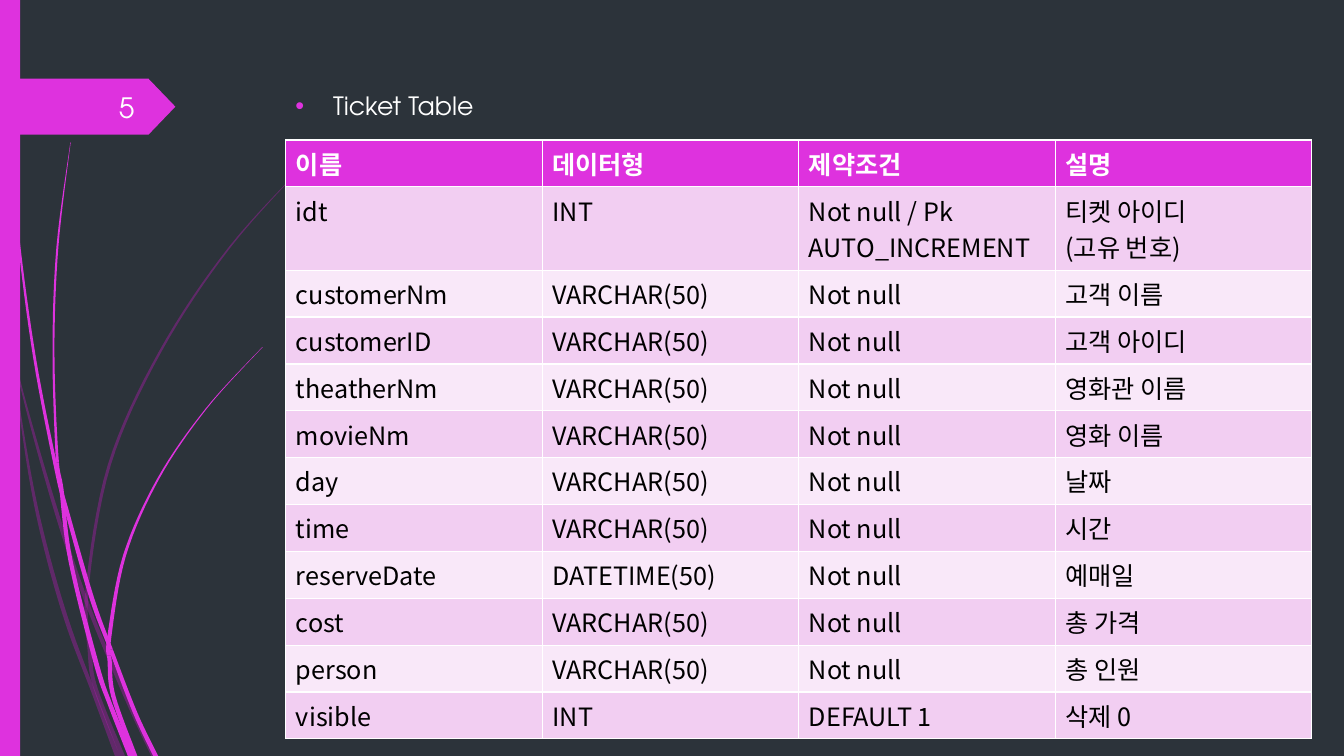
from dataclasses import dataclass

from lxml.etree import SubElement
from pptx import Presentation
from pptx.dml.color import RGBColor
from pptx.enum.shapes import MSO_SHAPE as Shape
from pptx.enum.text import MSO_ANCHOR as Anchor, PP_ALIGN as Align
from pptx.oxml.ns import qn
from pptx.util import Pt


@dataclass(frozen=True)
class Theme:
    background: str = "2C333A"
    accent: str = "DE32DE"
    shade: str = "B01CB0"
    band_dark: str = "F2CEF2"
    band_light: str = "F9E8F9"
    white: str = "FFFFFF"
    black: str = "000000"
    heading_font: str = "TeX Gyre Adventor"
    table_font: str = "Noto Sans CJK KR"
    bullet_font: str = "Arial"
    body_size: int = 18
    number_size: int = 20


THEME = Theme()

# Each blade: the heights where it is cut into pieces, then its stations
# (centre x, y, width) from top to bottom, all in points.
FADED_BLADES = [
    ((252, 430),
     [(0, 209, 1), (10.8, 259, 1), (25.2, 314, 2), (43.2, 375, 3),
      (61.9, 430, 3), (90, 498, 3), (109.8, 540, 3.6)]),
    ((514,),
     [(7.9, 252, 0.2), (21.2, 338, 2), (33, 392.5, 2.8), (48.6, 446, 3.2),
      (67, 495, 3), (83.9, 540, 3.6)]),
    ((426, 435, 500),
     [(224.6, 110, 0.2), (164.5, 176, 1.4), (114.5, 251, 1.9), (78.1, 332, 2.2),
      (62.3, 420, 2.2), (64.1, 465, 2.9), (68.4, 492, 3), (87.5, 540, 3.6)]),
]
BRIGHT_BLADES = [
    ((343, 463),
     [(2.5, 0, 0.4), (5.4, 79, 0.7), (13, 168, 1.4), (24.8, 256, 2),
      (40.2, 335, 2.6), (47.5, 364, 2.9), (65.2, 426, 3.4), (79.2, 464, 3),
      (96.5, 509, 3.2), (111.2, 540, 3.6)]),
    ((331, 352, 520),
     [(50.4, 101.5, 0.2), (41, 176.5, 1.4), (38.2, 251, 1.4), (40.7, 325, 2),
      (44, 350, 3), (50.4, 400.5, 3), (68.8, 474, 3.6), (79, 504, 3.4),
      (93.6, 540, 4.5)]),
    ((458, 468, 510),
     [(187.4, 248, 0.3), (147.2, 292, 0.9), (113, 342, 1.5), (88.9, 397, 2.2),
      (78.1, 455, 2.9), (78.3, 472, 3), (81, 497.5, 3.2), (96.3, 540, 3.6)]),
]

HEADINGS = ("이름", "데이터형", "제약조건", "설명")
TEXT_TYPE, REQUIRED = "VARCHAR(50)", "Not null"
COLUMNS = [
    ("idt", "INT", "Not null / Pk\nAUTO_INCREMENT", "티켓 아이디\n(고유 번호)"),
    ("customerNm", TEXT_TYPE, REQUIRED, "고객 이름"),
    ("customerID", TEXT_TYPE, REQUIRED, "고객 아이디"),
    ("theatherNm", TEXT_TYPE, REQUIRED, "영화관 이름"),
    ("movieNm", TEXT_TYPE, REQUIRED, "영화 이름"),
    ("day", TEXT_TYPE, REQUIRED, "날짜"),
    ("time", TEXT_TYPE, REQUIRED, "시간"),
    ("reserveDate", "DATETIME(50)", REQUIRED, "예매일"),
    ("cost", TEXT_TYPE, REQUIRED, "총 가격"),
    ("person", TEXT_TYPE, REQUIRED, "총 인원"),
    ("visible", "INT", "DEFAULT 1", "삭제 0"),
]


def rgb(code):
    return RGBColor.from_string(code)


def paint(shape, color, opacity=100):
    shape.shadow.inherit = False
    shape.fill.solid()
    shape.fill.fore_color.rgb = rgb(color)
    shape.line.fill.background()
    if opacity < 100:
        tint = shape._element.spPr.find(f"{qn('a:solidFill')}/{qn('a:srgbClr')}")
        SubElement(tint, qn("a:alpha"), val=str(opacity * 1000))


def set_font(paragraph, name, size, color, bold=False):
    font = paragraph.font
    font.name, font.size, font.bold = name, Pt(size), bold
    font.color.rgb = rgb(color)
    defaults = paragraph._p.pPr.find(qn("a:defRPr"))
    SubElement(defaults, qn("a:ea"), typeface=name)


def smooth(stations, steps=8):
    """Return points on the Catmull-Rom curve through the stations."""
    padded = [stations[0], *stations, stations[-1]]
    curve = []
    for before, start, end, after in zip(padded, padded[1:], padded[2:], padded[3:]):
        for t in (step / steps for step in range(steps)):
            curve.append([
                b + ((c - a) * t + (2 * a - 5 * b + 4 * c - d) * t**2
                     + (3 * b - a - 3 * c + d) * t**3) / 2
                for a, b, c, d in zip(before, start, end, after)
            ])
    return curve + [stations[-1]]


def add_blade(slide, cuts, stations, color, opacity=100):
    curve = smooth(stations)
    left = [(Pt(x - width / 2), Pt(y)) for x, y, width in curve]
    right = [(Pt(x + width / 2), Pt(y)) for x, y, width in curve]
    inner = [min(range(len(curve)), key=lambda i: abs(curve[i][1] - cut)) for cut in cuts]
    for first, last in zip([0, *inner], [*inner, len(curve) - 1]):
        outline = left[first:last + 1] + right[first:last + 1][::-1]
        builder = slide.shapes.build_freeform(*outline[0])
        builder.add_line_segments(outline[1:], close=True)
        paint(builder.convert_to_shape(), color, opacity)


def add_preset(slide, kind, left, top, width, height):
    shape = slide.shapes.add_shape(kind, Pt(left), Pt(top), Pt(width), Pt(height))
    paint(shape, THEME.accent)
    return shape


def add_text(slide, text, left, top, width, height, size):
    box = slide.shapes.add_textbox(Pt(left), Pt(top), Pt(width), Pt(height))
    box.text_frame.word_wrap = True
    paragraph = box.text_frame.paragraphs[0]
    paragraph.text = text
    set_font(paragraph, THEME.heading_font, size, THEME.white)
    return box.text_frame


def add_bullet(paragraph, indent):
    props = paragraph._p.get_or_add_pPr()
    props.set("marL", str(Pt(indent)))
    props.set("indent", str(-Pt(indent)))
    tint = props.makeelement(qn("a:buClr"), {})
    SubElement(tint, qn("a:srgbClr"), val=THEME.accent)
    face = props.makeelement(qn("a:buFont"), {"typeface": THEME.bullet_font})
    mark = props.makeelement(qn("a:buChar"), {"char": "•"})
    defaults = props.find(qn("a:defRPr"))
    for part in (tint, face, mark):
        defaults.addprevious(part)


def set_borders(cell):
    props = cell._tc.get_or_add_tcPr()
    for position, side in enumerate(("lnL", "lnR", "lnT", "lnB")):
        line = props.makeelement(qn(f"a:{side}"), {"w": str(Pt(1))})
        SubElement(SubElement(line, qn("a:solidFill")), qn("a:srgbClr"), val=THEME.white)
        props.insert(position, line)


def fill_cell(cell, text, fill, color, bold=False):
    cell.text = text
    for paragraph in cell.text_frame.paragraphs:
        set_font(paragraph, THEME.table_font, THEME.body_size, color, bold)
    cell.fill.solid()
    cell.fill.fore_color.rgb = rgb(fill)
    set_borders(cell)


def add_ticket_table(slide):
    rows = [HEADINGS, *COLUMNS]
    table = slide.shapes.add_table(len(rows), len(HEADINGS), Pt(204.2), Pt(100),
                                   Pt(733), Pt(428)).table
    for column in table.columns:
        column.width = Pt(183.2)
    for index, values in enumerate(rows):
        table.rows[index].height = Pt(59.5 if "\n" in values[2] else 33.5)
        band = THEME.band_dark if index % 2 else THEME.band_light
        for cell, value in zip(table.rows[index].cells, values):
            if index == 0:
                fill_cell(cell, value, THEME.accent, THEME.white, bold=True)
            else:
                fill_cell(cell, value, band, THEME.black)


def main():
    deck = Presentation()
    deck.slide_width, deck.slide_height = Pt(960), Pt(540)
    slide = deck.slides.add_slide(deck.slide_layouts[6])
    slide.background.fill.solid()
    slide.background.fill.fore_color.rgb = rgb(THEME.background)

    for cuts, stations in FADED_BLADES:
        add_blade(slide, cuts, stations, THEME.shade, opacity=40)
    for cuts, stations in BRIGHT_BLADES:
        add_blade(slide, cuts, stations, THEME.accent)
    add_preset(slide, Shape.RECTANGLE, 0, 0, 14.4, 540)
    number_tag = add_preset(slide, Shape.PENTAGON, 0, 56.2, 125.3, 40)
    number_tag.adjustments[0] = 0.48

    title = add_text(slide, "Ticket Table", 203.8, 61, 702, 297.4, THEME.body_size)
    title.paragraphs[0].space_before = Pt(10)
    add_bullet(title.paragraphs[0], indent=27)
    add_ticket_table(slide)
    number = add_text(slide, "5", 41.8, 61.9, 61.2, 28.8, THEME.number_size)
    number.vertical_anchor = Anchor.MIDDLE
    number.paragraphs[0].alignment = Align.RIGHT
    deck.save("out.pptx")


if __name__ == "__main__":
    main()
